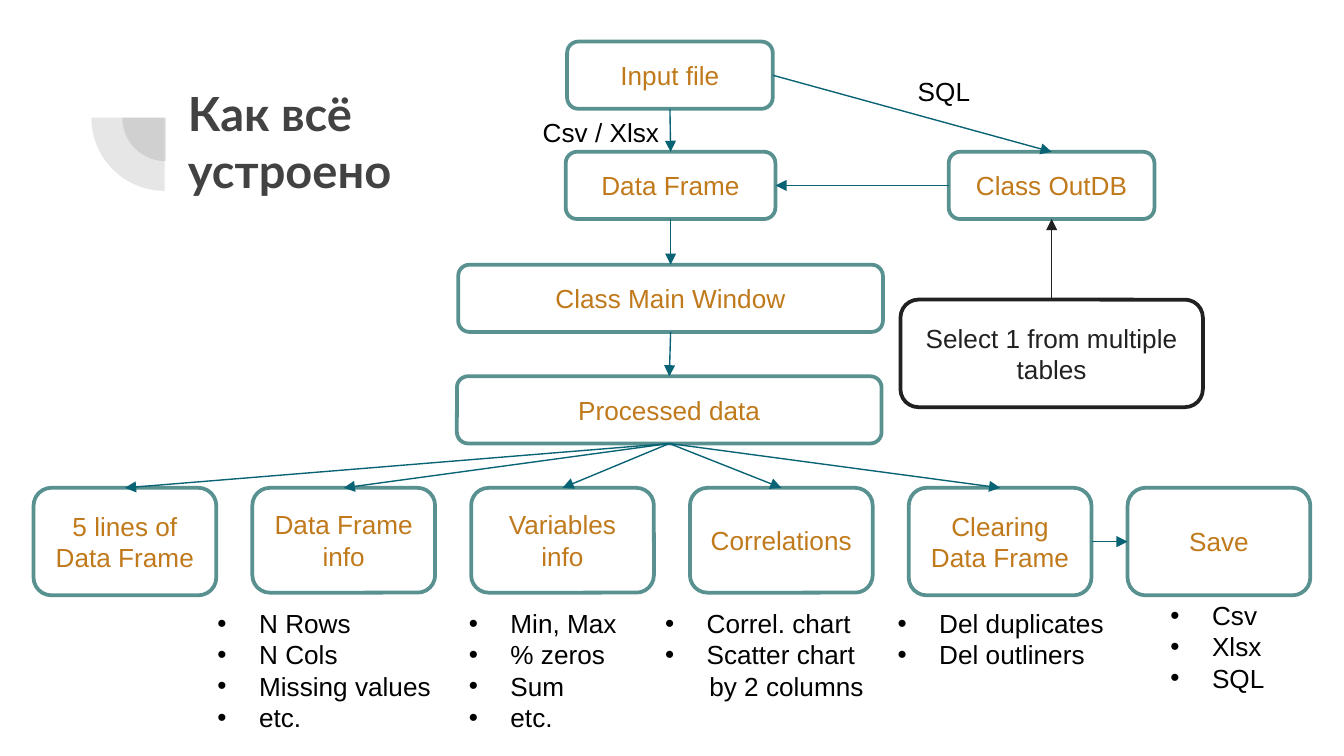
from dataclasses import dataclass

from lxml import etree
from pptx import Presentation
from pptx import util as u
from pptx.dml.color import RGBColor
from pptx.enum import shapes, text
from pptx.oxml import ns

TEAL, ORANGE, ARROW = "599191", "C0791B", "086374"
BLACK, WHITE, DARK, GRAY = "000000", "FFFFFF", "212121", "424242"
TOP, LEFT, BOTTOM, RIGHT = range(4)
SLIDE_WIDTH = 10
SLIDE_HEIGHT = SLIDE_WIDTH * 9 / 16
INDENT, CONTINUED_INDENT = 0.31, 0.33


@dataclass
class Box:
    label: str
    left: float
    top: float
    width: float
    height: float = 0.5
    line: str = TEAL
    color: str = ORANGE


@dataclass
class Arrow:
    start: str
    start_side: int
    end: str
    end_side: int
    color: str = ARROW


@dataclass
class Note:
    lines: list[str]
    left: float
    top: float
    width: float
    height: float
    bullets: bool = True
    wrap: bool = True


def rgb(color: str) -> RGBColor:
    return RGBColor.from_string(color)


def inches(*lengths: float) -> list[u.Length]:
    return [u.Inches(length) for length in lengths]


def set_font(paragraph, color: str, size: float = 14, name: str = "Arial", bold: bool = False) -> None:
    font = paragraph.font
    font.name, font.size, font.bold = name, u.Pt(size), bold
    font.color.rgb = rgb(color)


def add_child(parent, tag: str, **attributes: str):
    return etree.SubElement(parent, ns.qn(tag), attributes)


def draw_pie(slide, left: float, top: float, size: float) -> None:
    pie = slide.shapes.add_shape(shapes.MSO_SHAPE.PIE, *inches(left, top, size, size))
    pie.adjustments[0], pie.adjustments[1] = 108, 162
    pie.rotation = 270
    pie.shadow.inherit = False
    pie.line.fill.background()
    pie.fill.solid()
    pie.fill.fore_color.rgb = rgb(GRAY)
    add_child(pie._element.spPr.find(".//" + ns.qn("a:srgbClr")), "a:alpha", val="13000")


def draw_box(slide, box: Box):
    shape = slide.shapes.add_shape(
        shapes.MSO_SHAPE.ROUNDED_RECTANGLE, *inches(box.left, box.top, box.width, box.height))
    shape.shadow.inherit = False
    shape.fill.solid()
    shape.fill.fore_color.rgb = rgb(WHITE)
    shape.line.color.rgb = rgb(box.line)
    shape.line.width = u.Pt(2)
    frame = shape.text_frame
    frame.word_wrap = True
    frame.vertical_anchor = text.MSO_ANCHOR.MIDDLE
    paragraph = frame.paragraphs[0]
    paragraph.text = box.label
    paragraph.alignment = text.PP_ALIGN.CENTER
    set_font(paragraph, box.color)
    return shape


def draw_arrow(slide, arrow: Arrow, drawn: dict) -> None:
    connector = slide.shapes.add_connector(shapes.MSO_CONNECTOR.STRAIGHT, 0, 0, 0, 0)
    connector.begin_connect(drawn[arrow.start], arrow.start_side)
    connector.end_connect(drawn[arrow.end], arrow.end_side)
    connector.line.color.rgb = rgb(arrow.color)
    connector.line.width = u.Pt(0.75)
    add_child(connector.line._get_or_add_ln(), "a:tailEnd", type="triangle")
    add_child(connector._element.spPr, "a:effectLst")


def draw_note(slide, note: Note) -> None:
    frame = slide.shapes.add_textbox(*inches(note.left, note.top, note.width, note.height)).text_frame
    frame.word_wrap = note.wrap
    for index, line in enumerate(note.lines):
        paragraph = frame.paragraphs[0] if index == 0 else frame.add_paragraph()
        paragraph.text = line
        set_font(paragraph, BLACK)
        if not note.bullets:
            continue
        properties = paragraph._p.get_or_add_pPr()
        # A continued line is indented but has no bullet
        if line.startswith("by "):
            properties.set("marL", str(u.Inches(CONTINUED_INDENT)))
            continue
        properties.set("marL", str(u.Inches(INDENT)))
        properties.set("indent", str(-u.Inches(INDENT)))
        properties.insert(0, etree.Element(ns.qn("a:buChar"), char="•"))
        properties.insert(0, etree.Element(ns.qn("a:buFont"), typeface="Arial"))


# Flow at the top
BOXES = [
    Box("Input file", 4.22, 0.31, 1.53),
    Box("Data Frame", 4.21, 1.13, 1.56),
    Box("Class OutDB", 7.06, 1.13, 1.53),
    Box("Class Main Window", 3.41, 1.97, 3.16),
    Box("Processed data", 3.4, 2.8, 3.16),
    Box("Select 1 from multiple tables", 6.7, 2.23, 2.25, 0.8, DARK, DARK),
]

# Row of results
RESULTS = {"5 lines of Data Frame": 0.8, "Data Frame info": 0.78, "Variables info": 0.78,
           "Correlations": 0.78, "Clearing Data Frame": 0.8, "Save": 0.8}
ROW_LEFT, ROW_STEP = 0.25, 8.14 / 5
BOXES += [Box(label, ROW_LEFT + index * ROW_STEP, 3.63, 1.36, height)
          for index, (label, height) in enumerate(RESULTS.items())]

ARROWS = [
    Arrow("Input file", BOTTOM, "Data Frame", TOP),
    Arrow("Input file", RIGHT, "Class OutDB", TOP),
    Arrow("Class OutDB", LEFT, "Data Frame", RIGHT),
    Arrow("Data Frame", BOTTOM, "Class Main Window", TOP),
    Arrow("Class Main Window", BOTTOM, "Processed data", TOP),
    Arrow("Select 1 from multiple tables", TOP, "Class OutDB", BOTTOM, DARK),
    Arrow("Clearing Data Frame", RIGHT, "Save", LEFT),
]
ARROWS += [Arrow("Processed data", BOTTOM, label, TOP) for label in RESULTS if label != "Save"]

NOTES = [
    Note(["Csv / Xlsx"], 3.94, 0.82, 1.07, 0.34, bullets=False, wrap=False),
    Note(["SQL"], 6.73, 0.51, 0.59, 0.34, bullets=False, wrap=False),
    Note(["N Rows", "N Cols", "Missing values", "etc."], 1.52, 4.47, 1.87, 1.04),
    Note(["Min, Max", "% zeros", "Sum", "etc."], 3.39, 4.47, 1.87, 1.04),
    Note(["Correl. chart", "Scatter chart", "by 2 columns"], 4.85, 4.47, 1.73, 0.81),
    Note(["Del duplicates", "Del outliners"], 6.58, 4.47, 1.81, 0.57),
    Note(["Csv", "Xlsx", "SQL"], 8.61, 4.41, 0.91, 0.81, wrap=False),
]


def main() -> None:
    presentation = Presentation()
    presentation.slide_width, presentation.slide_height = inches(SLIDE_WIDTH, SLIDE_HEIGHT)
    slide = presentation.slides.add_slide(presentation.slide_layouts[6])

    # Corner ornament and title
    draw_pie(slide, 0.91, 0.55, 0.65)
    draw_pie(slide, 0.68, 0.33, 1.09)
    frame = slide.shapes.add_textbox(*inches(1.3, 0.53, 2.09, 1.09)).text_frame
    frame.word_wrap = True
    frame.margin_top = frame.margin_bottom = u.Inches(0.1)
    frame.paragraphs[0].text = "Как всё устроено"
    set_font(frame.paragraphs[0], GRAY, 25.2, "Lato", bold=True)

    # Diagram
    drawn = {box.label: draw_box(slide, box) for box in BOXES}
    for arrow in ARROWS:
        draw_arrow(slide, arrow, drawn)
    for note in NOTES:
        draw_note(slide, note)

    presentation.save("out.pptx")


if __name__ == "__main__":
    main()
